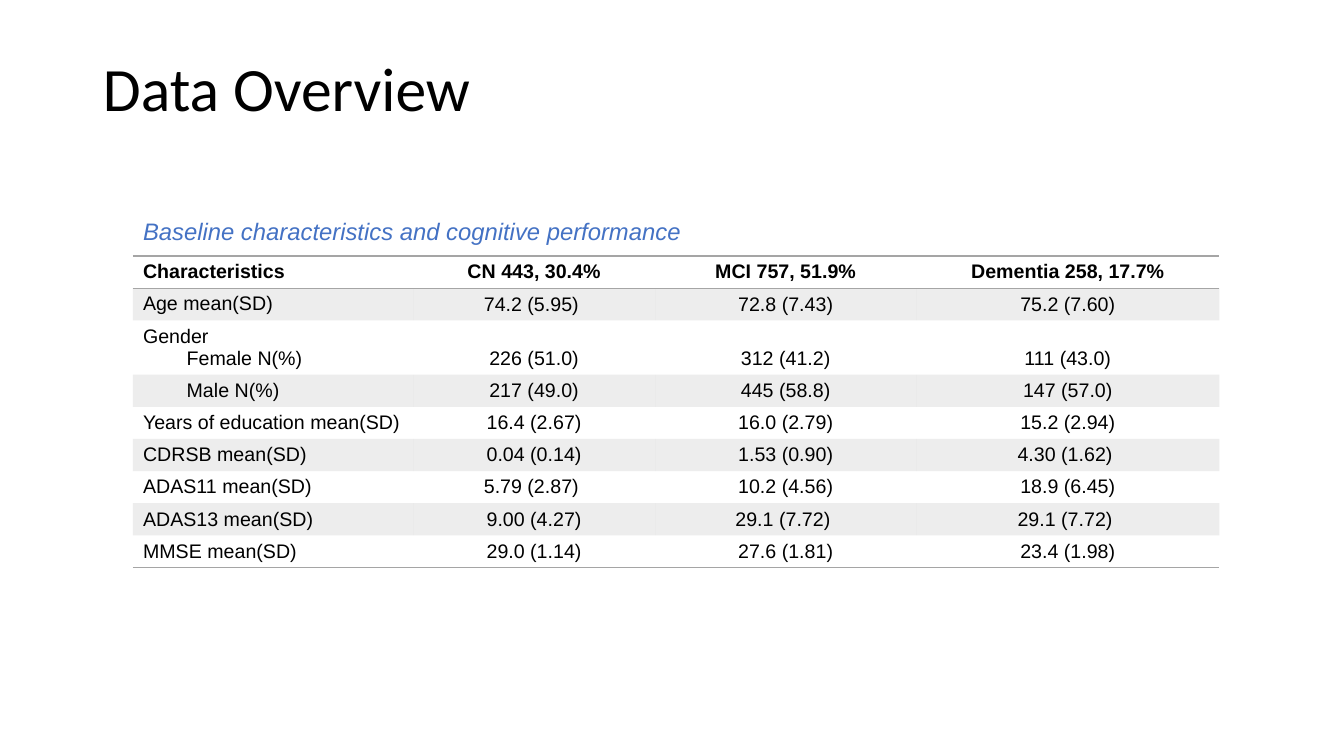
from dataclasses import dataclass

from lxml.etree import SubElement as Sub
from pptx import Presentation
from pptx.dml.color import RGBColor as Rgb
from pptx.enum.text import MSO_ANCHOR as Anchor, MSO_AUTO_SIZE as Auto, PP_ALIGN as Align
from pptx.oxml.ns import qn
from pptx.util import Cm, Pt

GRAY = "A5A5A5"
PLAIN = "{2D5ABB26-0587-4C30-8999-92F81FD0307C}"  # table style without grid
INDENT = Cm(1.1)


@dataclass
class Row:
    label: str
    values: tuple[str, str, str]
    indent: bool = False
    group: str = ""


@dataclass
class Label:
    text: str
    box: tuple[float, float, float, float]
    font: dict
    space: float
    anchor: Anchor


HEAD = Row("Characteristics", ("CN 443, 30.4%", "MCI 757, 51.9%", "Dementia 258, 17.7%"))
ROWS = [
    HEAD,
    Row("Age mean(SD)", ("74.2 (5.95) ", "72.8 (7.43)", "75.2 (7.60)")),
    Row("Female N(%)", ("226 (51.0)", "312 (41.2)", "111 (43.0)"), True, "Gender"),
    Row("Male N(%)", ("217 (49.0)", "445 (58.8)", "147 (57.0)"), True),
    Row("Years of education mean(SD)", ("16.4 (2.67)", "16.0 (2.79)", "15.2 (2.94)")),
    Row("CDRSB mean(SD)", ("0.04 (0.14)", "1.53 (0.90)", "4.30 (1.62) ")),
    Row("ADAS11 mean(SD)", ("5.79 (2.87) ", "10.2 (4.56)", "18.9 (6.45)")),
    Row("ADAS13 mean(SD)", ("9.00 (4.27)", "29.1 (7.72) ", "29.1 (7.72) ")),
    Row("MMSE mean(SD)", ("29.0 (1.14)", "27.6 (1.81)", "23.4 (1.98)")),
]
WIDTHS = [7.06, 6.1, 6.58, 7.64]
HEIGHT, TALL = 0.81, 1.37

TITLE = Label("Data Overview", (2.34, 0.46, 11.3, 3.68),
              dict(name="Calibri", size=Pt(44)), 0.9, Anchor.MIDDLE)
CAPTION = Label("Baseline characteristics and cognitive performance", (3.35, 5.46, 15.44, 0.99),
                dict(name="Arial", size=Pt(17), italic=True, color="4472C4"), 0.8, Anchor.TOP)


def paint(target, color: str) -> None:
    target.rgb = Rgb.from_string(color)


def style(font, form: dict) -> None:
    for key, value in ({"color": "000000"} | form).items():
        if key == "color":
            paint(font.color, value)
        else:
            setattr(font, key, value)


def place(shape, label: Label) -> None:
    for key, value in zip(("left", "top", "width", "height"), label.box):
        setattr(shape, key, Cm(value))
    frame = shape.text_frame
    frame.text = label.text
    frame.auto_size = Auto.NONE
    frame.word_wrap = True
    frame.vertical_anchor = label.anchor
    para = frame.paragraphs[0]
    props = para._p.get_or_add_pPr()
    props.set("marL", "0")
    props.set("indent", "0")
    Sub(props, qn("a:buNone"))
    para.alignment = Align.LEFT
    para.line_spacing = label.space
    para.space_before = Pt(0)
    style(para.runs[0].font, label.font)


def rule(cell, side: str) -> None:
    line = Sub(cell._tc.get_or_add_tcPr(), qn(f"a:ln{side}"), w=str(Pt(1)))
    fill = Sub(line, qn("a:solidFill"))
    Sub(fill, qn("a:srgbClr"), val=GRAY)


def shade(cell, banded: bool) -> None:
    if not banded:
        cell.fill.background()
        return
    cell.fill.solid()
    paint(cell.fill.fore_color, GRAY)
    tint = cell._tc.tcPr.find(".//" + qn("a:srgbClr"))
    Sub(tint, qn("a:alpha"), val="20000")


def write(cell, lines: list[str], align: Align, bold: bool, indent: bool) -> None:
    cell.text = "\n".join(lines)
    for para in cell.text_frame.paragraphs:
        para.alignment = align
        style(para.runs[0].font, dict(name="Arial", size=Pt(14), bold=bold))
    if indent:
        para._p.get_or_add_pPr().set("marL", str(INDENT))


def grid(slide) -> None:
    frame = slide.shapes.add_table(len(ROWS), len(WIDTHS), Cm(3.35), Cm(6.45),
                                   Cm(sum(WIDTHS)), Cm(HEIGHT * len(ROWS)))
    table = frame.table
    table.horz_banding = False
    table._tbl.tblPr.find(qn("a:tableStyleId")).text = PLAIN
    for col, width in zip(table.columns, WIDTHS):
        col.width = Cm(width)
    for i, row in enumerate(ROWS):
        table.rows[i].height = Cm(TALL if row.group else HEIGHT)
        top = row is HEAD
        for j, text in enumerate((row.label, *row.values)):
            cell = table.cell(i, j)
            first = j == 0
            lines = [row.group, text] if first and row.group else [text]
            write(cell, lines, Align.LEFT if first else Align.CENTER, top, first and row.indent)
            cell.vertical_anchor = Anchor.TOP if first or top else Anchor.BOTTOM
            if top:
                rule(cell, "T")
            if top or row is ROWS[-1]:
                rule(cell, "B")
            shade(cell, i % 2 == 1)


def main() -> None:
    deck = Presentation()
    deck.slide_width, deck.slide_height = Cm(33.87), Cm(19.05)
    slide = deck.slides.add_slide(deck.slide_layouts[1])

    # Title and table caption
    place(slide.shapes.title, TITLE)
    place(slide.placeholders[1], CAPTION)

    # Table of baseline values
    grid(slide)
    deck.save("out.pptx")


if __name__ == "__main__":
    main()
